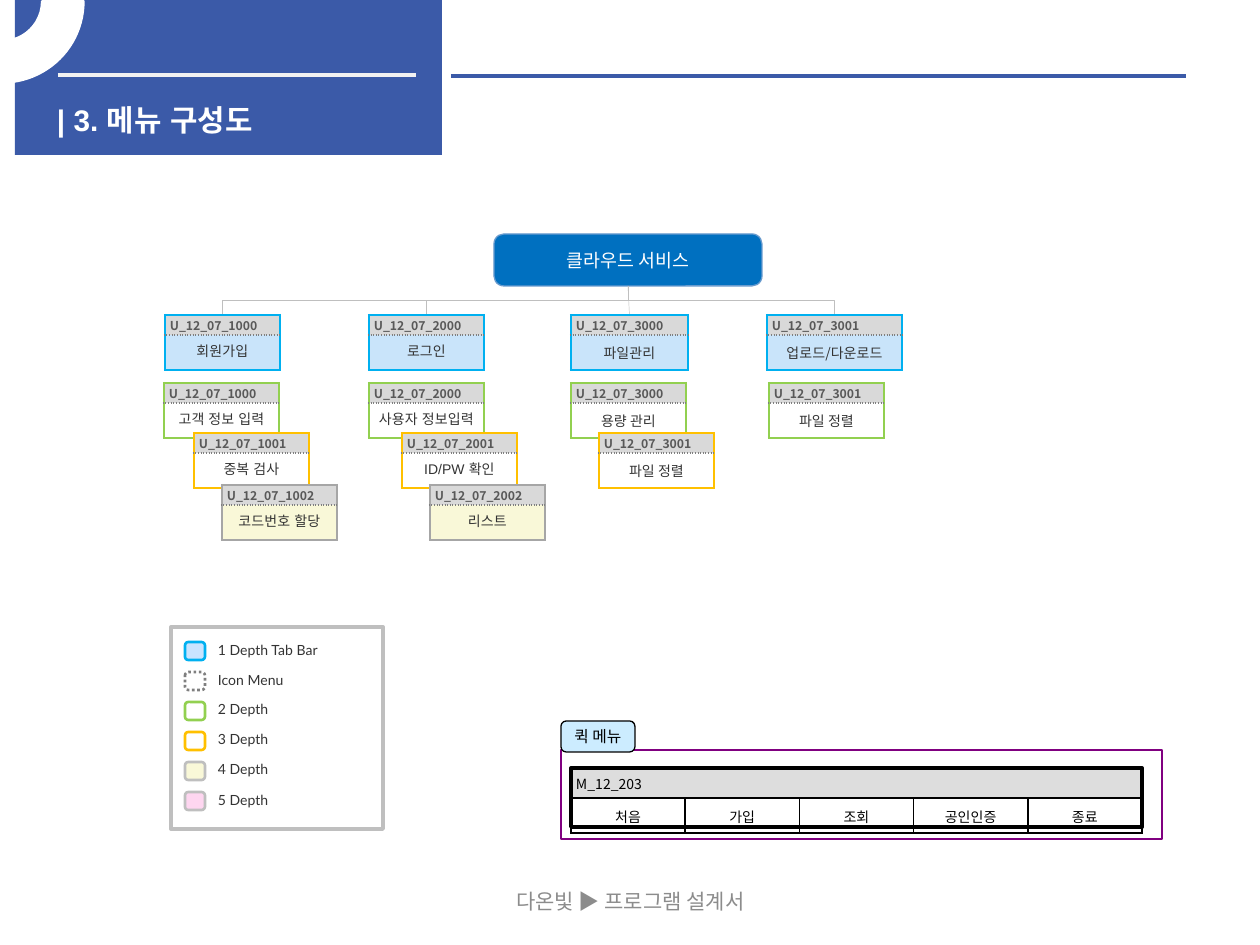
from lxml import etree
from pptx import Presentation
from pptx.dml.color import RGBColor
from pptx.enum.dml import MSO_LINE
from pptx.enum.shapes import MSO_CONNECTOR, MSO_SHAPE
from pptx.enum.text import MSO_ANCHOR, MSO_AUTO_SIZE, PP_ALIGN
from pptx.oxml.ns import qn
from pptx.util import Emu, Pt

SCALE = 914400 / 126
RECTANGLE, ROUNDED, ARC = MSO_SHAPE.RECTANGLE, MSO_SHAPE.ROUNDED_RECTANGLE, MSO_SHAPE.BLOCK_ARC
STRAIGHT, ELBOW = MSO_CONNECTOR.STRAIGHT, MSO_CONNECTOR.ELBOW
LEFT, CENTER = PP_ALIGN.LEFT, PP_ALIGN.CENTER
TOP, MIDDLE = MSO_ANCHOR.TOP, MSO_ANCHOR.MIDDLE
NO_FIT = MSO_AUTO_SIZE.NONE
DOTTED = MSO_LINE.ROUND_DOT
ARIAL, LATO, NOTO = "Arial", "Lato", "Noto Sans CJK KR"

COLORS = {
    "white": "FFFFFF", "black": "000000", "band": "3B5AA8", "pale": "F2F2F2",
    "footer": "8C8C8C", "purple": "800080", "tab": "CCECFF", "bar": "DDDDDD",
    "root": "0070C0", "root_line": "689BCE", "silver": "BFBFBF", "dots": "7F7F7F",
    "code_fill": "D9D9D9", "code": "595959", "name": "333333", "cyan": "00B0F0",
    "sky": "C9E4FA", "sky_key": "C9E4FF", "green": "92D050", "amber": "FFC000",
    "gray": "A6A6A6", "cream": "F9F8D8", "pink": "FED6F0",
}
LEVELS = [
    (0, "cyan", "sky"), (68, "green", "white"),
    (118, "amber", "white"), (170, "gray", "cream"),
]
COLUMNS = [
    (0, 115, ARIAL, [("U_12_07_1000", "회원가입", 0), ("U_12_07_1000", "고객 정보 입력", -1),
                     ("U_12_07_1001", "중복 검사", 29), ("U_12_07_1002", "코드번호 할당", 57)]),
    (204, 115, ARIAL, [("U_12_07_2000", "로그인", 0), ("U_12_07_2000", "사용자 정보입력", 0),
                       ("U_12_07_2001", "ID/PW 확인", 33), ("U_12_07_2002", "리스트", 61)]),
    (406, 117, NOTO, [("U_12_07_3000", "파일관리", 0), ("U_12_07_3000", "용량 관리", 0),
                      ("U_12_07_3001", "파일 정렬", 28)]),
    (602, 135, NOTO, [("U_12_07_3001", "업로드/다운로드", 0), ("U_12_07_3001", "파일 정렬", 2)]),
]
NODE_WIDTH = 115
LEGEND = [
    ("1 Depth Tab Bar", "sky_key", "cyan"), ("Icon Menu", "white", "dots"),
    ("2 Depth", "white", "green"), ("3 Depth", "white", "amber"),
    ("4 Depth", "cream", "silver"), ("5 Depth", "pink", "silver"),
]
QUICK_MENU = ["처음", "가입", "조회", "공인인증", "종료"]


def px(*lengths):
    """Turn pixel lengths into a list of EMU lengths."""
    return [Emu(round(length * SCALE)) for length in lengths]


def rgb(name):
    """Look up a named colour."""
    return RGBColor.from_string(COLORS[name])


def write_text(holder, text, color, size, font, bold=False, align=LEFT, anchor=MIDDLE,
               margins=(13, 6, 13, 6), spacing=None):
    """Write one formatted line into a text frame or table cell."""
    sides = ("margin_left", "margin_top", "margin_right", "margin_bottom")
    for name, value in {"vertical_anchor": anchor, **dict(zip(sides, px(*margins)))}.items():
        setattr(holder, name, value)
    frame = getattr(holder, "text_frame", holder)
    paragraph = frame.paragraphs[0]
    paragraph.alignment, paragraph.line_spacing = align, spacing
    run = paragraph.add_run()
    run.text = text
    for name, value in {"size": Pt(size), "name": font, "bold": bold}.items():
        setattr(run.font, name, value)
    run.font.color.rgb = rgb(color)
    etree.SubElement(run.font._element, qn("a:ea"), typeface=font)


def add_box(shapes, kind, box, fill=None, line=None, width=0.75, corner=None):
    """Add a preset shape with plain fill and line."""
    shape = shapes.add_shape(kind, *px(*box))
    shape.shadow.inherit = False
    if fill:
        shape.fill.solid()
        shape.fill.fore_color.rgb = rgb(fill)
    else:
        shape.fill.background()
    if line:
        shape.line.color.rgb, shape.line.width = rgb(line), Pt(width)
    else:
        shape.line.fill.background()
    if corner is not None:
        shape.adjustments[0] = corner
    return shape


def add_line(shapes, kind, points, color, width):
    """Add a connector without a shadow."""
    connector = shapes.add_connector(kind, *px(*points))
    connector.line.color.rgb, connector.line.width = rgb(color), Pt(width)
    etree.SubElement(connector.element.spPr, qn("a:effectLst"))
    return connector


def add_drop(shapes, start_x, start_y, end_x, end_y):
    """Add an elbow that leaves downwards and arrives from above."""
    center_x, center_y = (start_x + end_x) / 2, (start_y + end_y) / 2
    half_drop, half_span = (end_y - start_y) / 2, abs(end_x - start_x) / 2
    goes_left = end_x < start_x
    reach = half_drop if goes_left else -half_drop
    points = (center_x - reach, center_y - half_span, center_x + reach, center_y + half_span)
    connector = add_line(shapes, ELBOW, points, "silver", 0.25)
    connector.element.spPr.xfrm.rot = 90 if goes_left else 270


def style_cell(cell, fill, borders):
    """Set the borders (left, right, top, bottom) and fill of a cell."""
    properties = cell._tc.get_or_add_tcPr()
    for side, (color, width, dash) in zip("LRTB", borders):
        line = etree.SubElement(properties, qn(f"a:ln{side}"), w=str(Pt(width)))
        solid = etree.SubElement(line, qn("a:solidFill"))
        etree.SubElement(solid, qn("a:srgbClr"), val=COLORS[color])
        etree.SubElement(line, qn("a:prstDash"), val=dash)
    if fill:
        cell.fill.solid()
        cell.fill.fore_color.rgb = rgb(fill)
    else:
        cell.fill.background()


def add_grid(shapes, box, heights, column_count):
    """Add a table without banding and with the given row heights."""
    table = shapes.add_table(len(heights), column_count, *px(*box)).table
    table.first_row = table.horz_banding = False
    for row, height in zip(table.rows, px(*heights)):
        row.height = height
    return table


def add_node(shapes, left, top, width, code, name, font, edge, fill, margin):
    """Add one menu node: a code row above a name row."""
    table = add_grid(shapes, (left, top, width, 55), (20, 35), 1)
    solid, dotted = (edge, 1.5, "solid"), ("dots", 1, "sysDot")
    code_cell, name_cell = table.cell(0, 0), table.cell(1, 0)
    style_cell(code_cell, "code_fill", (solid, solid, solid, dotted))
    write_text(code_cell, code, "code", 7, NOTO, bold=True, margins=(5, 0, 13, 0))
    style_cell(name_cell, fill, (solid, solid, dotted, solid))
    write_text(name_cell, name, "name", 8, font, align=CENTER,
               margins=(margin, 6, margin, 6), spacing=0.9)


def add_header(slide, left, top, width, height):
    """Place the title band, its arc and the rules."""
    shapes, title = slide.shapes, slide.shapes.title
    band = add_box(shapes, RECTANGLE, (left, top, width, height), "band")
    title.element.addprevious(band.element)
    for name, value in zip(("left", "top", "width", "height"), px(left + 29, top + 96, 387, 40)):
        setattr(title, name, value)
    title.text_frame.auto_size = NO_FIT
    write_text(title.text_frame, "| 3. 메뉴 구성도", "white", 17, ARIAL, bold=True, anchor=TOP)
    add_line(shapes, STRAIGHT, (left + 43, top + 75, left + 401, top + 75), "pale", 2.25)
    add_line(shapes, STRAIGHT, (left + 436, top + 76, left + 1171, top + 76), "band", 2.25)
    arc = add_box(shapes, ARC, (left - 94, top - 79, 162, 161), "white", "white", 2)
    for index, value in enumerate((96.95, 0, 0.25)):
        arc.adjustments[index] = value
    arc.element.spPr.xfrm.set("flipV", "1")


def add_menu_tree(shapes, left, top):
    """Place the root, its connectors and the menu columns."""
    root = add_box(shapes, ROUNDED, (left + 329, top, 268, 52), "root", "root_line", 0.75, 0.19)
    write_text(root.text_frame, "클라우드 서비스", "white", 10.5, LATO, align=CENTER)
    root_x, root_bottom, nodes_top = left + 463, top + 52, top + 81
    for offset, width, font, nodes in COLUMNS:
        column_left = left + offset
        column_x = column_left + width / 2
        if abs(column_x - root_x) < 5:
            points = (root_x, root_bottom, column_x, nodes_top)
            add_line(shapes, STRAIGHT, points, "silver", 0.25).begin_connect(root, 2)
        else:
            add_drop(shapes, root_x, root_bottom, column_x, nodes_top)
        for depth, ((drop, edge, fill), (code, name, shift)) in enumerate(zip(LEVELS, nodes)):
            add_node(shapes, column_left + shift, nodes_top + drop, NODE_WIDTH if depth else width,
                     code, name, font, edge, fill, 0 if depth else 13)


def add_legend(shapes, left, top, width, height):
    """Place the depth legend as one group."""
    group = shapes.add_group_shape().shapes
    add_box(group, RECTANGLE, (left, top, width, height), "white", "silver", 2.25)
    for index, (text, fill, edge) in enumerate(LEGEND):
        row_top = top + 15 + 30 * index
        swatch = add_box(group, ROUNDED, (left + 14, row_top, 20, 18), fill, edge, 1.5, 0.19)
        if edge == "dots":
            swatch.line.dash_style = DOTTED
        label = add_box(group, ROUNDED, (left + 33, row_top, 106, 17), corner=0.19)
        label.text_frame.word_wrap = False
        write_text(label.text_frame, text, "name", 8, LATO, spacing=0.9)


def add_quick_menu(shapes, left, top, width, height):
    """Place the quick menu panel, its tab and its table."""
    add_box(shapes, RECTANGLE, (left, top, width, height), line="purple")
    tab = add_box(shapes, ROUNDED, (left, top - 29, 74, 31), "tab", "black", 0.75, 0.17)
    tab.text_frame.word_wrap = False
    write_text(tab.text_frame, "퀵 메뉴", "black", 9, NOTO, align=CENTER)
    box = (left + 10, top + 18, 571, 59)
    table = add_grid(shapes, box, (30, 35), len(QUICK_MENU))
    edges = [("black", 1, "solid")] * 4
    for column, text in enumerate(QUICK_MENU):
        style_cell(table.cell(0, column), "bar", edges)
        style_cell(table.cell(1, column), None, edges)
        write_text(table.cell(1, column), text, "black", 8, NOTO, align=CENTER,
                   anchor=TOP, margins=(5, 8, 5, 8))
    table.cell(0, 0).merge(table.cell(0, len(QUICK_MENU) - 1))
    write_text(table.cell(0, 0), "M_12_203", "black", 8, NOTO, anchor=TOP, margins=(5, 5, 5, 5))
    add_box(shapes, RECTANGLE, box, line="black", width=2.25)


def add_footer(shapes, *box):
    """Place the centred footer line."""
    frame = shapes.add_textbox(*px(*box)).text_frame
    frame.word_wrap = True
    write_text(frame, "다온빛 ▶ 프로그램 설계서", "footer", 12, NOTO, align=CENTER)


def main():
    """Build and save the menu structure slide."""
    presentation = Presentation()
    presentation.slide_width, presentation.slide_height = px(1260, 945)
    slide = presentation.slides.add_slide(presentation.slide_layouts[5])
    add_header(slide, 15, 0, 427, 155)
    add_footer(slide.shapes, 431, 876, 399, 50)
    add_quick_menu(slide.shapes, 561, 750, 601, 89)
    add_menu_tree(slide.shapes, 165, 234)
    add_legend(slide.shapes, 171, 627, 212, 202)
    presentation.save("out.pptx")


if __name__ == "__main__":
    main()
